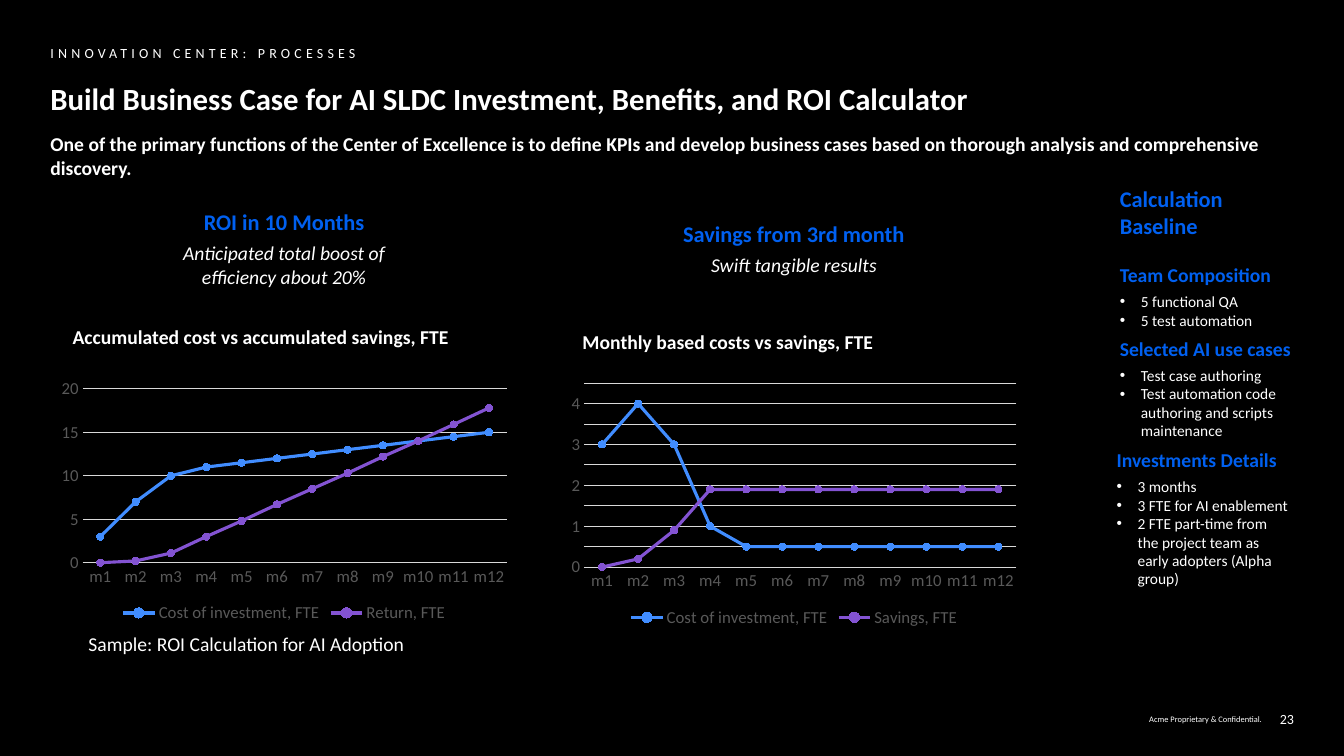
from pptx import Presentation
from pptx import util as u
from pptx.chart.data import CategoryChartData
from pptx.dml.color import RGBColor
from pptx.enum import chart as ch, text as t
from pptx.oxml.ns import qn
from lxml import etree

BLACK = RGBColor(0x00, 0x00, 0x00)
WHITE = RGBColor(0xFF, 0xFF, 0xFF)
BLUE = RGBColor(0x00, 0x60, 0xF0)
SKY = RGBColor(0x41, 0x8D, 0xFF)
PLUM = RGBColor(0x83, 0x53, 0xD2)
GRAY = RGBColor(0x59, 0x59, 0x59)
PALE = RGBColor(0xD9, 0xD9, 0xD9)
FACE = "Calibri"

LEFT, MID, RIGHT = t.PP_ALIGN.LEFT, t.PP_ALIGN.CENTER, t.PP_ALIGN.RIGHT
TITLE = {"size": 22, "bold": True}
KICK = {"size": 10, "bold": False, "track": 3, "lead": 1.1}
HEAD = {"size": 14, "bold": True}
NOTE = {"size": 14}
CALL = {"size": 16, "bold": True, "color": BLUE, "align": MID, "after": 4}
SUB = {"size": 14, "italic": True, "align": MID}
TOPIC = {"size": 14, "bold": True, "color": BLUE, "after": 4}
BASE = {**TOPIC, "size": 16}
ITEM = {"size": 11, "bullet": True}

PANELS = [
    {"box": (1.32, 8.2, 11.68, 7.6), "call": (7.06, 2.29),
     "say": ("ROI in 10 Months", "Anticipated total boost of efficiency about 20%"),
     "head": "Accumulated cost vs accumulated savings, FTE", "top": 20, "step": 5,
     "data": {"Cost of investment, FTE": (3, 7, 10, 11, 11.5, 12, 12.5, 13, 13.5, 14, 14.5, 15),
              "Return, FTE": (0, 0.2, 1.1, 3, 4.8, 6.7, 8.5, 10.3, 12.2, 14, 15.9, 17.8)}},
    {"box": (14.17, 8.31, 11.68, 7.6), "call": (8.26, 1.68),
     "say": ("Savings from 3rd month", "Swift tangible results"),
     "head": "Monthly based costs vs savings, FTE", "top": 4.5, "step": 0.5,
     "data": {"Cost of investment, FTE": [3, 4, 3, 1] + [0.5] * 8,
              "Savings, FTE": [0, 0.2, 0.9] + [1.9] * 9}},
]
TOPICS = {
    "Team Composition": (2, 0, ["5 functional QA", "5 test automation"]),
    "Selected AI use cases": (4, 0, ["Test case authoring",
                                     "Test automation code authoring and scripts maintenance"]),
    "Investments Details": (6, -0.08, [
        "3 months", "3 FTE for AI enablement",
        "2 FTE part-time from the project team as early adopters (Alpha group)"]),
}


def assign(obj, **vals):
    """Set each given attribute on the object."""
    for key, val in vals.items():
        setattr(obj, key, val)


def place(shape, box):
    """Move the shape to a box given in centimetres."""
    for key, val in zip(("left", "top", "width", "height"), box):
        setattr(shape, key, u.Cm(val))


def write(shape, rows, inset=(0, 0, 0, 0), wrap=True, anchor=t.MSO_ANCHOR.TOP):
    """Fill a shape with styled paragraphs."""
    frame = shape.text_frame
    left, top, right, low = map(u.Cm, inset)
    assign(frame, margin_left=left, margin_top=top, margin_right=right, margin_bottom=low,
           word_wrap=wrap, auto_size=t.MSO_AUTO_SIZE.NONE, vertical_anchor=anchor)
    for i, (words, style) in enumerate(rows):
        para = frame.add_paragraph() if i else frame.paragraphs[0]
        dot = style.get("bullet")
        props = para._p.get_or_add_pPr()
        for key, val in (("marL", 0.53), ("indent", -0.53)):
            props.set(key, str(int(u.Cm(val if dot else 0))))
        if dot:
            etree.SubElement(props, qn("a:buFont")).set("typeface", "Arial")
            etree.SubElement(props, qn("a:buChar")).set("char", "•")
        else:
            etree.SubElement(props, qn("a:buNone"))
        assign(para, alignment=style.get("align", LEFT), space_before=u.Pt(0),
               space_after=u.Pt(style.get("after", 0)), line_spacing=style.get("lead", 1.0))
        run = para.add_run()
        run.text = words
        assign(run.font, name=FACE, size=u.Pt(style["size"]), bold=style.get("bold", False),
               italic=style.get("italic", False))
        run.font.color.rgb = style.get("color", WHITE)
        if "track" in style:
            run._r.get_or_add_rPr().set("spc", str(style["track"] * 100))


def label(slide, box, rows, **opts):
    """Add a text box with styled paragraphs."""
    shape = slide.shapes.add_textbox(*map(u.Cm, box))
    write(shape, rows, **opts)


def header(slide, box):
    """Place the kicker, title and lead line in the box."""
    x, y, w, _ = box
    kick, lead = slide.placeholders[1], slide.placeholders[2]
    rows = [
        (slide.shapes.title, (x, y + 0.94, w, 1.27), TITLE,
         "Build Business Case for AI SLDC Investment, Benefits, and ROI Calculator"),
        (kick, (x, y, 11.56, 0.64), KICK, "INNOVATION CENTER: PROCESSES"),
        (lead, (x, y + 2.26, w, 0.69), HEAD,
         "One of the primary functions of the Center of Excellence is to define KPIs and develop "
         "business cases based on thorough analysis and comprehensive discovery."),
    ]
    for shape, area, style, words in rows:
        place(shape, area)
        write(shape, [(words, style)])


def graph(slide, box, data, top, step):
    """Draw a line chart with markers in the box."""
    source = CategoryChartData()
    source.categories = [f"m{n}" for n in range(1, 13)]
    for name, vals in data.items():
        source.add_series(name, vals)
    chart = slide.shapes.add_chart(ch.XL_CHART_TYPE.LINE_MARKERS, *map(u.Cm, box), source).chart
    assign(chart, has_title=False, has_legend=True)
    assign(chart.legend, position=ch.XL_LEGEND_POSITION.BOTTOM, include_in_layout=False)
    cat, val = chart.category_axis, chart.value_axis
    assign(val, minimum_scale=0, maximum_scale=top, major_unit=step, has_major_gridlines=True)
    assign(val.tick_labels, number_format="General", number_format_is_linked=False)
    for axis in (cat, val):
        assign(axis, major_tick_mark=ch.XL_TICK_MARK.NONE, minor_tick_mark=ch.XL_TICK_MARK.NONE)
    for font in (chart.font, chart.legend.font, cat.tick_labels.font, val.tick_labels.font):
        assign(font, name=FACE, size=u.Pt(12), bold=False)
        font.color.rgb = GRAY
    val.format.line.fill.background()
    for line in (cat.format.line, val.major_gridlines.format.line):
        line.color.rgb = PALE
        line.width = u.Pt(0.75)
    plot = chart.plots[0]
    plot.vary_by_categories = False
    for line, hue in zip(plot.series, (SKY, PLUM)):
        line.smooth = False
        line.format.line.color.rgb = hue
        line.format.line.width = u.Pt(2.25)
        assign(line.marker, style=ch.XL_MARKER_STYLE.CIRCLE, size=5)
        line.marker.format.fill.solid()
        line.marker.format.fill.fore_color.rgb = hue
        line.marker.format.line.color.rgb = hue


def panel(slide, box, call, say, head, top, step, data):
    """Place a centred callout, a heading and a chart."""
    x, y, w, h = box
    wide, tall = call
    label(slide, (x + (w - wide) / 2, 6.27 - tall / 2, wide, tall),
          list(zip(say, (CALL, SUB))), inset=(0.25, 0.13, 0.25, 0.13))
    label(slide, (x, y, w, 0.61), [(head, HEAD)], inset=(0.51, 0, 0, 0), wrap=False)
    graph(slide, (x, y + 1.22, w, h - 1.22), data, top, step)


def aside(slide, box):
    """Stack the baseline topics down the box."""
    x, y, w, _ = box
    label(slide, (x, y, w, 1.37), [("Calculation Baseline", BASE)])
    y += 1.96
    for name, (lines, shift, items) in TOPICS.items():
        tall = 0.74 + 0.47 * lines
        label(slide, (x + shift, y, w, tall), [(name, TOPIC)] + [(item, ITEM) for item in items])
        y += tall + 0.18


def footer(slide, box):
    """Place the notice and page number at the right of the box."""
    x, y, w, h = box
    for left, wide, words, size in ((x, 3.89, "Acme Proprietary & Confidential.", 6),
                                    (x + w - 0.69, 0.69, "23", 10)):
        label(slide, (left, y, wide, h), [(words, {"size": size, "align": RIGHT})],
              anchor=t.MSO_ANCHOR.MIDDLE)


def main():
    """Build the slide and save it."""
    deck = Presentation()
    assign(deck, slide_width=u.Cm(33.87), slide_height=u.Cm(19.05))
    slide = deck.slides.add_slide(deck.slide_layouts[3])
    slide.background.fill.solid()
    slide.background.fill.fore_color.rgb = BLACK
    header(slide, (1.27, 1.07, 31.33, 2.95))
    for part in PANELS:
        panel(slide, **part)
    aside(slide, (28.22, 4.67, 4.39, 10.16))
    label(slide, (1.98, 15.8, 17.4, 0.86), [("Sample: ROI Calculation for AI Adoption", NOTE)],
          inset=(0.25, 0.13, 0.25, 0.13))
    footer(slide, (27.91, 17.81, 4.7, 0.61))
    deck.save("out.pptx")


if __name__ == "__main__":
    main()
